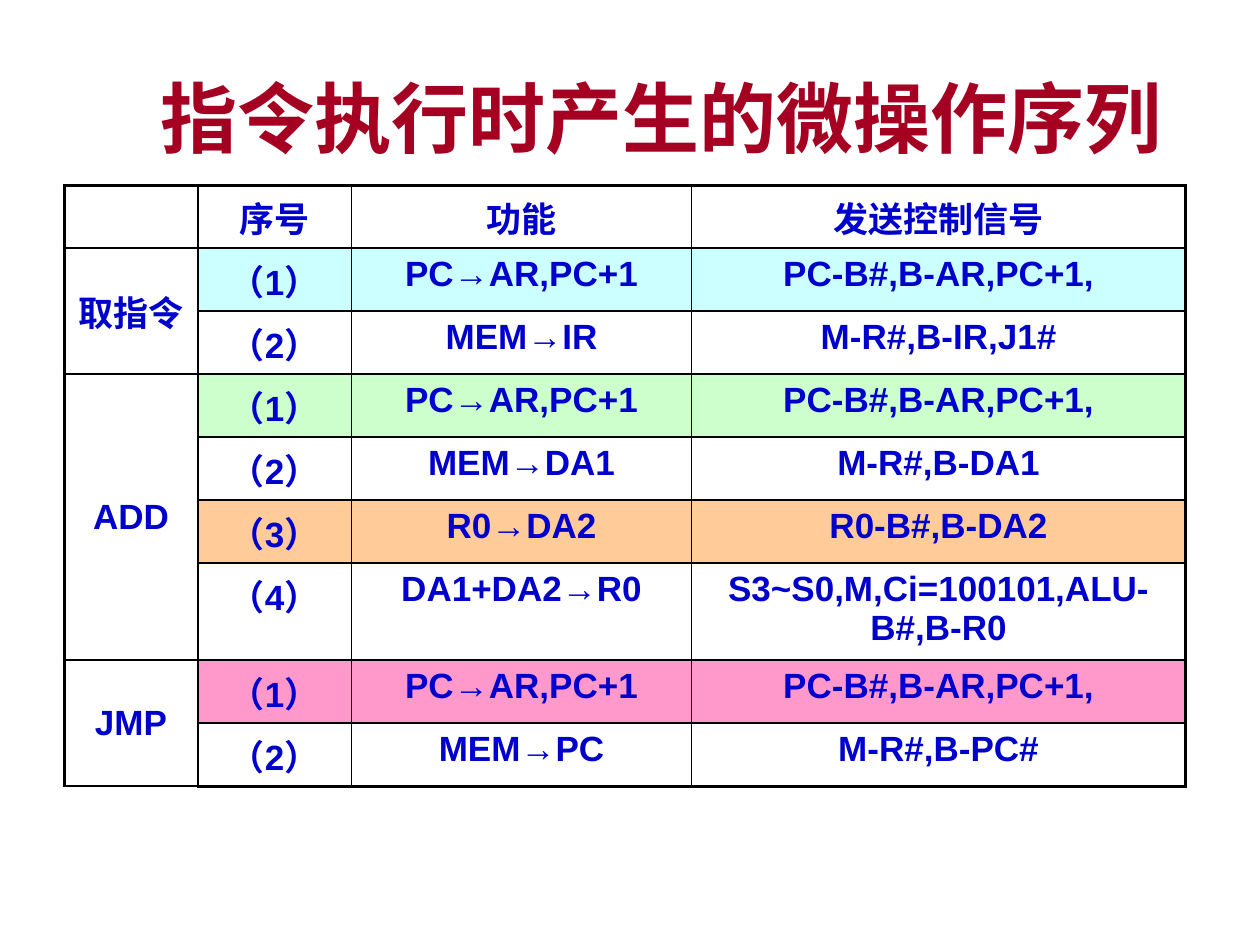
from dataclasses import dataclass

from lxml.etree import SubElement as Sub
from pptx import Presentation
from pptx.dml.color import RGBColor as Rgb
from pptx.enum.text import MSO_ANCHOR as Anchor, PP_ALIGN as Align
from pptx.oxml.ns import qn
from pptx.util import Inches, Pt

# Content
TITLE = "指令执行时产生的微操作序列"
HEAD = ("", "序号", "功能", "发送控制信号")
FETCH = ("PC→AR,PC+1", "PC-B#,B-AR,PC+1,")
# Group name, then its steps: function, control signals, fill
GROUPS = [
    ("取指令", [(*FETCH, "CCFFFF"),
             ("MEM→IR", "M-R#,B-IR,J1#", None)]),
    ("ADD", [(*FETCH, "CCFFCC"),
             ("MEM→DA1", "M-R#,B-DA1", None),
             ("R0→DA2", "R0-B#,B-DA2", "FFCC99"),
             ("DA1+DA2→R0", "S3~S0,M,Ci=100101,ALU-B#,B-R0", None)]),
    ("JMP", [(*FETCH, "FF99CC"),
             ("MEM→PC", "M-R#,B-PC#", None)]),
]
WIDTHS = (1.06, 1.22, 2.7, 3.92)
ROW, TALL = 0.5, 0.77
LONG = 24  # signals longer than this take two lines


@dataclass(frozen=True)
class Theme:
    font: str = "Arial"
    title: str = "A50021"
    text: str = "0000CC"
    rule: str = "000000"
    big: int = 44
    body: int = 20
    thin: float = 1
    thick: float = 2.25


T = Theme()


def write(frame, text, size, color):
    """Put one centred bold run into a text frame."""
    para = frame.paragraphs[0]
    para.alignment = Align.CENTER
    run = para.add_run()
    run.text = text
    font = run.font
    font.name, font.size, font.bold = T.font, Pt(size), True
    font.color.rgb = Rgb.from_string(color)


def border(cell, row, col, rows, cols):
    """Draw thick rules on the table's outside and thin ones inside."""
    props = cell._tc.get_or_add_tcPr()
    outer = {"L": col == 0, "R": col == cols - 1,
             "T": row == 0, "B": row == rows - 1}
    for side, edge in outer.items():
        width = Pt(T.thick if edge else T.thin)
        line = Sub(props, qn("a:ln" + side), w=str(width))
        Sub(Sub(line, qn("a:solidFill")), qn("a:srgbClr"), val=T.rule)


def paint(cell, color):
    if color:
        cell.fill.solid()
        cell.fill.fore_color.rgb = Rgb.from_string(color)
    else:
        cell.fill.background()


def main():
    deck = Presentation()
    deck.slide_width, deck.slide_height = Inches(10), Inches(7.5)
    slide = deck.slides.add_slide(deck.slide_layouts[6])

    # Title
    box = slide.shapes.add_textbox(
        Inches(0.5), Inches(0.3), Inches(9.5), Inches(1.25))
    frame = box.text_frame
    frame.word_wrap = True
    frame.vertical_anchor = Anchor.MIDDLE
    write(frame, TITLE, T.big, T.title)

    # Flatten the groups into rows, noting which cells to merge
    rows, spans = [(HEAD, None)], []
    for name, steps in GROUPS:
        first = len(rows)
        for num, (func, signal, fill) in enumerate(steps, 1):
            label = name if num == 1 else ""
            rows.append(((label, f"（{num}）", func, signal), fill))
        spans.append((first, len(rows) - 1))

    # Table
    highs = [TALL if len(texts[-1]) > LONG else ROW for texts, _ in rows]
    count, cols = len(rows), len(WIDTHS)
    table = slide.shapes.add_table(
        count, cols, Inches(0.51), Inches(1.47),
        Inches(sum(WIDTHS)), Inches(sum(highs))).table
    table.first_row = table.horz_banding = False
    for col, wide in zip(table.columns, WIDTHS):
        col.width = Inches(wide)
    for line, high in zip(table.rows, highs):
        line.height = Inches(high)

    # Cells
    for r, (texts, fill) in enumerate(rows):
        for c, text in enumerate(texts):
            cell = table.cell(r, c)
            border(cell, r, c, count, cols)
            paint(cell, fill if c else None)
            if text:
                write(cell.text_frame, text, T.body, T.text)
    for first, last in spans:
        head = table.cell(first, 0)
        head.merge(table.cell(last, 0))
        head.vertical_anchor = Anchor.MIDDLE

    deck.save("out.pptx")


if __name__ == "__main__":
    main()
